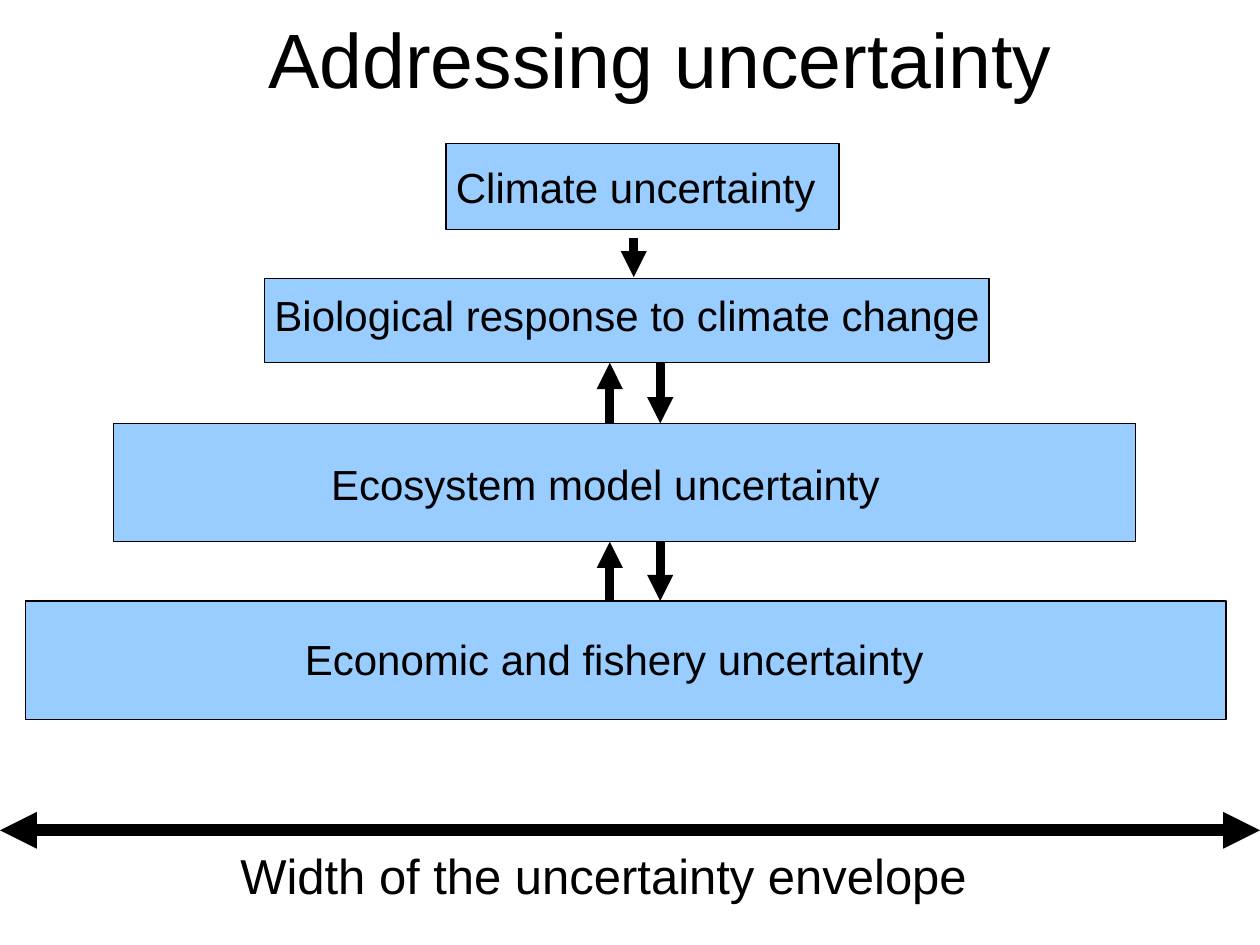
from lxml import etree
from pptx import Presentation
from pptx.dml.color import RGBColor
from pptx.enum.shapes import MSO_CONNECTOR as Connector, MSO_SHAPE as Shape
from pptx.enum.text import MSO_ANCHOR as Anchor, PP_ALIGN as Align
from pptx.oxml.ns import qn
from pptx.util import Inches, Pt

BLACK, BLUE = "000000", "99CCFF"
CLIMATE = (3.54, 1.14, 3.12, 0.68)
BIOLOGY = (2.1, 2.21, 5.75, 0.67)
ECOSYSTEM = (0.9, 3.36, 8.11, 0.94)
ECONOMY = (0.2, 4.77, 9.53, 0.94)
TIERS = [
    (CLIMATE, "Climate uncertainty", (-0.02, 0.09, 3.13), Align.LEFT),
    (BIOLOGY, "Biological response to climate change", (-0.02, 0.04, 5.98), Align.LEFT),
    (ECOSYSTEM, "Ecosystem model uncertainty", (1.63, 0.23, 5.43), Align.LEFT),
    (ECONOMY, "Economic and fishery uncertainty", (1.96, 0.21, 5.43), Align.CENTER),
]


def colour(value):
    return RGBColor.from_string(value)


def write(frame, text, size, align):
    frame.text = text
    frame.word_wrap = True
    para = frame.paragraphs[0]
    para.alignment = align
    for span in para.runs:
        span.font.name = "Arial"
        span.font.size = Pt(size)
        span.font.color.rgb = colour(BLACK)


def add_title(page, box, text):
    title = page.shapes.title
    title.left, title.top, title.width, title.height = map(Inches, box)
    write(title.text_frame, text, 44, Align.CENTER)
    title.text_frame.vertical_anchor = Anchor.MIDDLE


def add_label(page, box, text, size, align=Align.LEFT):
    label = page.shapes.add_textbox(*map(Inches, box))
    write(label.text_frame, text, size, align)


def add_tier(page, box, text, offset, align):
    tier = page.shapes.add_shape(Shape.RECTANGLE, *map(Inches, box))
    tier.shadow.inherit = False
    tier.fill.solid()
    tier.fill.fore_color.rgb = colour(BLUE)
    tier.line.color.rgb = colour(BLACK)
    tier.line.width = Pt(0.75)
    right, down, width = offset
    add_label(page, (box[0] + right, box[1] + down, width, 0.5), text, 24, align)


def add_arrow(page, start, end, weight=5, ends=("tailEnd",)):
    arrow = page.shapes.add_connector(Connector.STRAIGHT, *map(Inches, start + end))
    arrow.line.color.rgb = colour(BLACK)
    arrow.line.width = Pt(weight)
    properties = arrow.line._get_or_add_ln()
    for name in ends:
        etree.SubElement(properties, qn(f"a:{name}"), type="triangle")
    etree.SubElement(arrow._element.spPr, qn("a:effectLst"))


def add_feedback(page, upper, lower):
    top, bottom = upper[1] + upper[3], lower[1]
    add_arrow(page, (5.24, top), (5.24, bottom))
    add_arrow(page, (4.84, bottom), (4.84, top))


def add_envelope(page, box):
    left, top, width, height = box
    add_arrow(page, (left, top), (left + width, top), 7, ("headEnd", "tailEnd"))
    add_label(page, (left + 1.81, top + 0.07, 6.77, height - 0.07),
              "Width of the uncertainty envelope", 28)


def main():
    deck = Presentation()
    deck.slide_width, deck.slide_height = Inches(10), Inches(7.5)
    page = deck.slides.add_slide(deck.slide_layouts[5])
    add_title(page, (0.75, 0, 8.98, 0.91), "Addressing uncertainty")
    for tier in TIERS:
        add_tier(page, *tier)
    add_arrow(page, (5.03, 1.89), (5.03, 2.2))
    add_feedback(page, BIOLOGY, ECOSYSTEM)
    add_feedback(page, ECOSYSTEM, ECONOMY)
    add_envelope(page, (0, 6.59, 10, 0.64))
    deck.save("out.pptx")


if __name__ == "__main__":
    main()
